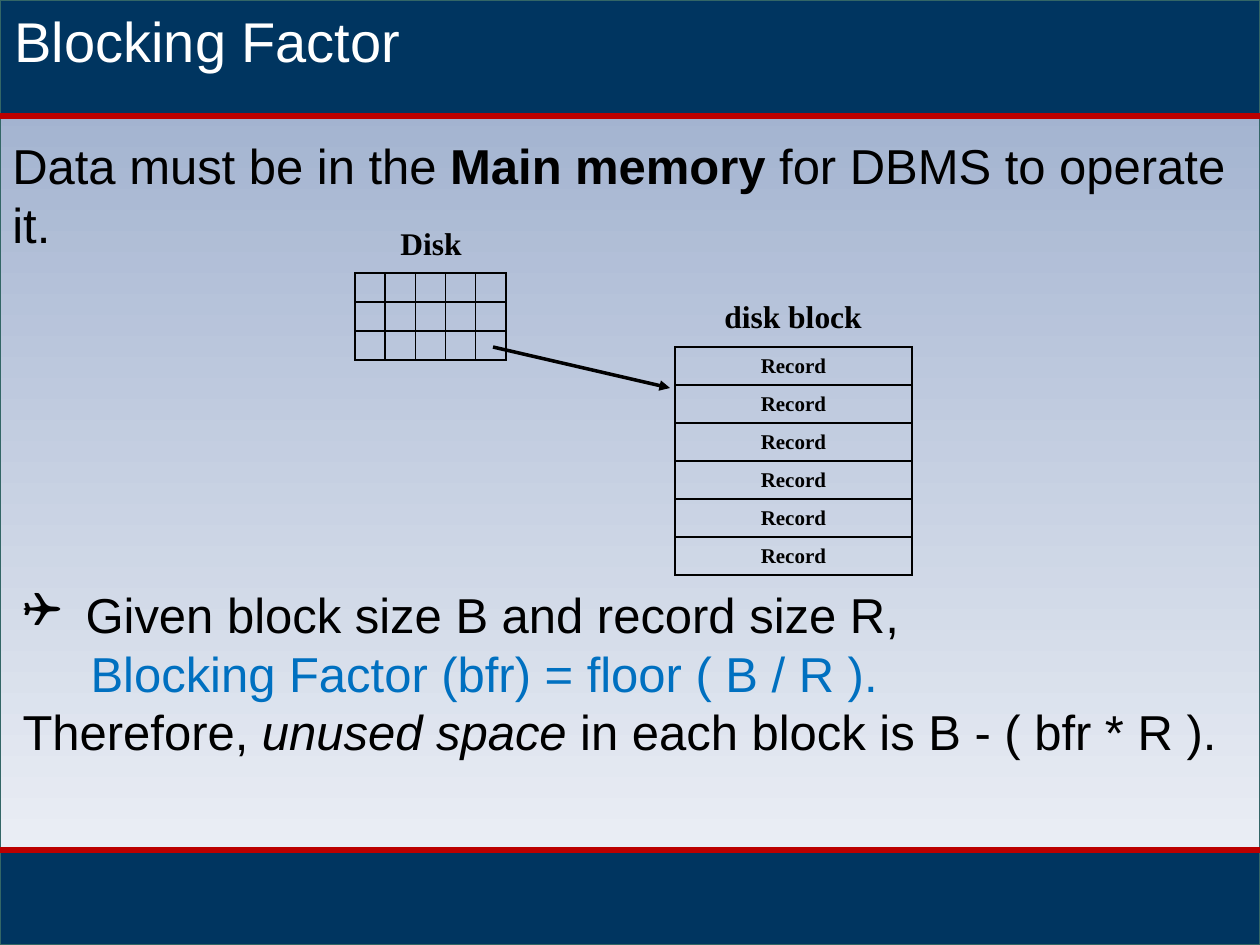
from lxml import etree
from pptx import Presentation
from pptx import util as u
from pptx.dml.color import RGBColor
from pptx.enum import shapes, text
from pptx.oxml import ns

SCALE = 914400 / 126
COLORS = {
    "navy": "003560",
    "red": "BC0000",
    "edge": "336666",
    "sky": "99ABCB",
    "mist": "F3F5F9",
    "white": "FFFFFF",
    "black": "000000",
    "blue": "0070C0",
}


def px(value):
    return u.Emu(round(value * SCALE))


def color(name):
    return RGBColor.from_string(COLORS[name])


def add_child(parent, tag, **attributes):
    return etree.SubElement(parent, ns.qn(tag), attributes)


def add_panel(page, top, height, fill=None):
    panel = page.shapes.add_shape(
        shapes.MSO_SHAPE.RECTANGLE, 0, px(top), px(1260), px(height))
    panel.shadow.inherit = False
    if fill:
        panel.fill.solid()
        panel.fill.fore_color.rgb = color(fill)
    else:
        panel.fill.gradient()
        panel.fill.gradient_angle = 270
        for stop, name in zip(panel.fill.gradient_stops, ("sky", "mist")):
            stop.color.rgb = color(name)
    panel.line.color.rgb = color("edge")
    panel.line.width = u.Pt(0.75)


def add_line(page, start, end, name, width, arrow=False):
    line = page.shapes.add_connector(
        shapes.MSO_CONNECTOR.STRAIGHT, *map(px, start + end))
    line.line.color.rgb = color(name)
    line.line.width = u.Pt(width)
    properties = line.element.spPr
    if arrow:
        add_child(properties.find(ns.qn("a:ln")), "a:tailEnd", type="triangle")
    add_child(properties, "a:effectLst")


def format_span(span, size, name="black", face="Arial", bold=False, italic=False):
    span.font.size = u.Pt(size)
    span.font.name = face
    span.font.bold = bold
    span.font.italic = italic
    span.font.color.rgb = color(name)


def add_spans(para, spans, size):
    for words, style in spans:
        span = para.add_run()
        span.text = words
        format_span(span, size, **style)


def place(box, left, top, width, height):
    box.left, box.top, box.width, box.height = map(px, (left, top, width, height))
    box.element.getparent().append(box.element)
    frame = box.text_frame
    frame.auto_size = text.MSO_AUTO_SIZE.NONE
    frame.vertical_anchor = text.MSO_ANCHOR.TOP
    frame.word_wrap = True
    return frame


def add_title(page, words):
    frame = place(page.shapes.title, 2, 0, 1258, 81)
    frame.text = words
    para = frame.paragraphs[0]
    para.alignment = text.PP_ALIGN.LEFT
    format_span(para.runs[0], 32, "white")


def add_list(page, items):
    frame = place(page.placeholders[1], 10, 578, 1229, 190)
    for index, (margin, indent, bullet, spans) in enumerate(items):
        para = frame.add_paragraph() if index else frame.paragraphs[0]
        para.space_before = u.Pt(0)
        para.line_spacing = 1.0
        properties = para._p.get_or_add_pPr()
        properties.set("marL", str(px(margin)))
        properties.set("indent", str(px(indent)))
        if bullet:
            add_child(properties, "a:buFont", typeface="Wingdings")
            add_child(properties, "a:buChar", char=bullet)
        else:
            add_child(properties, "a:buNone")
        add_spans(para, spans, 28)


def add_text(page, left, top, width, height, spans, size, wrap=True):
    box = page.shapes.add_textbox(*map(px, (left, top, width, height)))
    box.text_frame.word_wrap = wrap
    add_spans(box.text_frame.paragraphs[0], spans, size)


def border_cell(cell):
    properties = cell._tc.get_or_add_tcPr()
    for side in ("a:lnL", "a:lnR", "a:lnT", "a:lnB"):
        border = add_child(properties, side, w=str(u.Pt(1)))
        fill = add_child(border, "a:solidFill")
        add_child(fill, "a:srgbClr", val=COLORS["black"])
    cell.fill.background()


def add_grid(page, left, top, columns, rows, cell_width, cell_height, label=""):
    table = page.shapes.add_table(
        rows, columns, px(left), px(top),
        px(columns * cell_width), px(rows * cell_height)).table
    table.first_row = table.horz_banding = False
    for column in table.columns:
        column.width = px(cell_width)
    for row in table.rows:
        row.height = px(cell_height)
    for cell in table.iter_cells():
        border_cell(cell)
        cell.margin_top = cell.margin_bottom = 0
        cell.vertical_anchor = text.MSO_ANCHOR.MIDDLE
        para = cell.text_frame.paragraphs[0]
        para.alignment = text.PP_ALIGN.CENTER
        if label:
            para.text = label
            format_span(para.runs[0], 12, face="Times New Roman", bold=True)
        else:
            add_child(para._p, "a:endParaRPr", sz="1000")


def main():
    deck = Presentation()
    deck.slide_width, deck.slide_height = px(1260), px(945)
    page = deck.slides.add_slide(deck.slide_layouts[1])

    add_panel(page, 0, 945)
    add_panel(page, 850, 95, "navy")
    add_panel(page, 0, 116, "navy")
    for y in (116, 850):
        add_line(page, (0, y), (1260, y), "red", 3.75)

    add_title(page, "Blocking Factor")
    add_grid(page, 355, 273, 5, 3, 30, 29)
    add_line(page, (493, 347), (670, 388), "black", 2, arrow=True)
    add_grid(page, 675, 347, 1, 6, 237, 38, "Record")

    label = {"face": "Times New Roman", "bold": True}
    add_text(page, 712, 291, 164, 50, [("disk block", label)], 18, wrap=False)
    add_text(page, 0, 129, 1260, 131, [
        ("Data must be in the ", {}),
        ("Main memory ", {"bold": True}),
        ("for DBMS to operate it.", {}),
    ], 28)
    add_text(page, 388, 218, 87, 50, [("Disk", label)], 18, wrap=False)

    add_list(page, [
        (63, -63, "❑", [("Given block size B and record size R,", {})]),
        (68, 0, None, [
            ("Blocking Factor (bfr) = floor ( B / R ).", {"name": "blue"})]),
        (0, 0, None, [
            ("Therefore, ", {}),
            ("unused space", {"italic": True}),
            (" in each block is B - ( bfr * R ).", {}),
        ]),
    ])
    deck.save("out.pptx")


if __name__ == "__main__":
    main()
